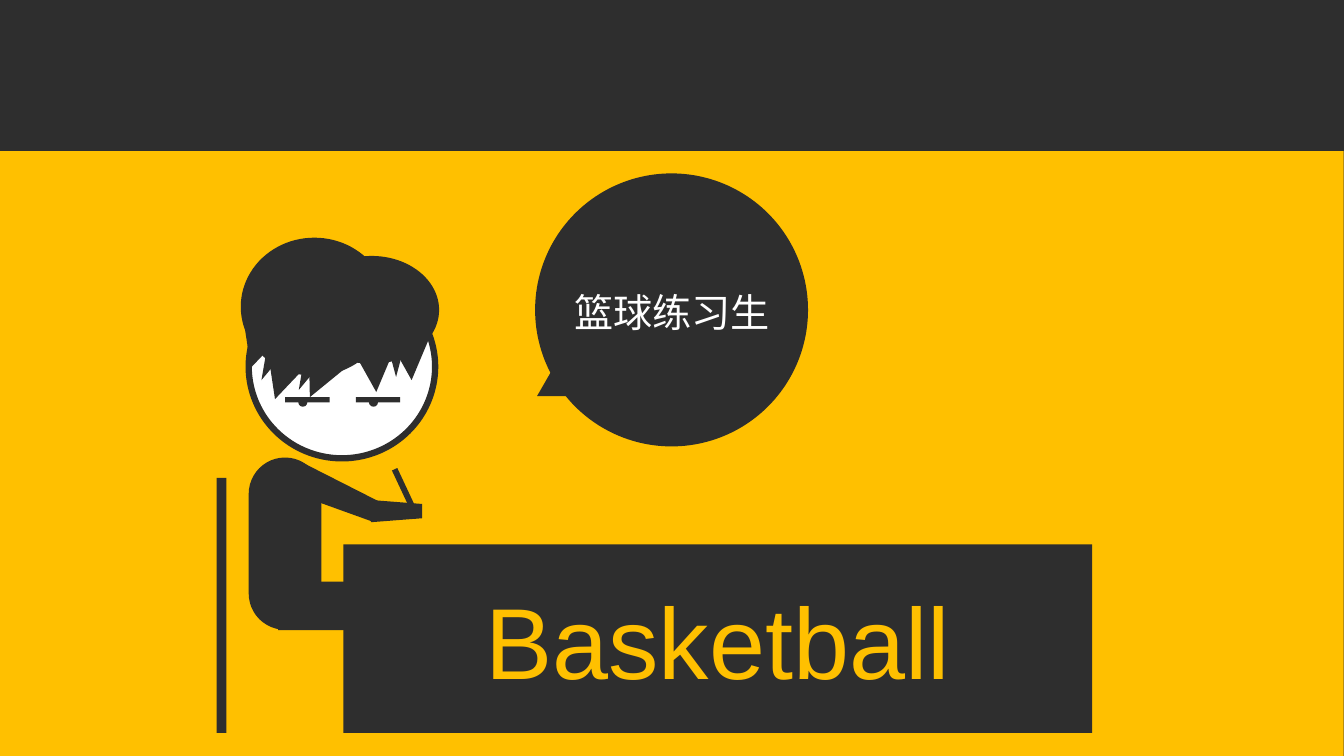
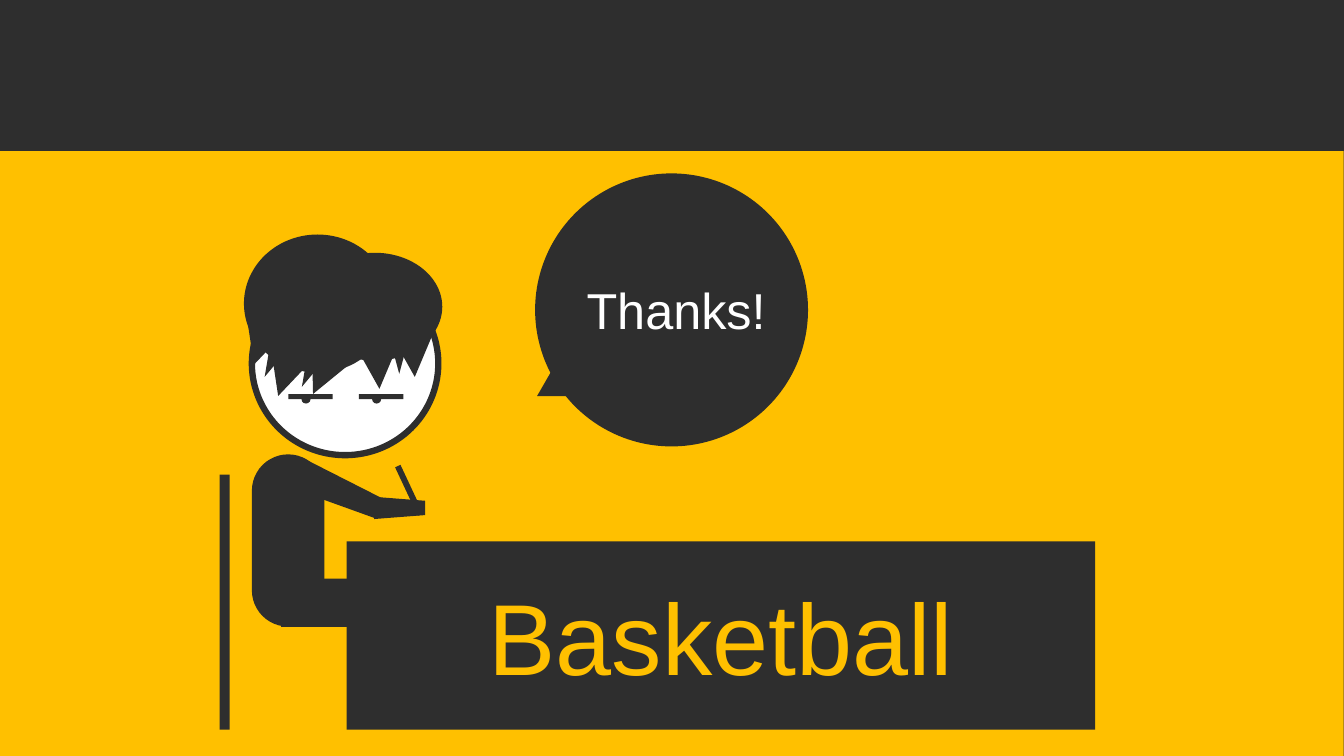
from pptx import Presentation
from pptx.dml.color import RGBColor
from pptx.enum.shapes import MSO_SHAPE as Kind
from pptx.enum.text import MSO_ANCHOR as Anchor, PP_ALIGN as Align
from pptx.util import Cm, Pt

DARK, GOLD, WHITE = "2E2E2E", "FFC000", "FFFFFF"
FONT = "Arial"

# Left half of a lock of hair, as shares of its box, from notch to tip
HALF = [(0.5, 0.1), (0.41, 0.03), (0.33, 0.01), (0.25, 0), (0.16, 0.02),
        (0.09, 0.07), (0.03, 0.13), (0, 0.2), (0, 0.28), (0.03, 0.36), (0.5, 1)]
LOCK = HALF + [(1 - x, y) for x, y in HALF[-2:0:-1]]
TALL, WIDE, SLIM = 2.21, 1.47, 0.81

# Left, top, width and turn of each lock
LOCKS = [
    (6.02, 6.88, WIDE, 17.5),
    (6.53, 7.9, WIDE, 17.5),
    (7.54, 7.9, WIDE, 24.8),
    (8.69, 7.67, WIDE, 356.8),
    (9.58, 7.37, WIDE, 356.8),
    (5.92, 7.11, WIDE, 17.5),
    (7.59, 7.72, SLIM, 24.8),
    (6.65, 7.47, SLIM, 24.8),
    (9.58, 7.29, SLIM, 0),
]
ARM = [(7.57, 11.63), (9.58, 12.65), (9.35, 13.13), (7.24, 12.37)]
HAND = [(9.35, 12.6), (10.64, 12.7), (10.64, 13.06), (9.35, 13.16)]
EYE_GAP = 1.78


def rgb(code):
    return RGBColor.from_string(code)


class Deck:
    """Holds the presentation, the current slide and the drawing offset in cm."""

    def __init__(self):
        self.prs = Presentation()
        self.prs.slide_width, self.prs.slide_height = Cm(33.88), Cm(19.05)
        self.dx = self.dy = 0

    def page(self):
        self.slide = self.prs.slides.add_slide(self.prs.slide_layouts[6])
        fill = self.slide.background.fill
        fill.solid()
        fill.fore_color.rgb = rgb(DARK)
        self.shape(Kind.RECTANGLE, 0, 3.81, 33.87, 15.24, GOLD)

    def paint(self, item, color, turn=0):
        item.shadow.inherit = False
        item.fill.solid()
        item.fill.fore_color.rgb = rgb(color)
        item.line.fill.background()
        item.rotation = turn
        return item

    def shape(self, kind, x, y, w, h, color=DARK, turn=0):
        item = self.slide.shapes.add_shape(
            kind, Cm(x + self.dx), Cm(y + self.dy), Cm(w), Cm(h))
        return self.paint(item, color, turn)

    def shard(self, points, turn=0):
        """Draw a closed outline through points given in cm."""
        spots = [(Cm(x + self.dx), Cm(y + self.dy)) for x, y in points]
        pen = self.slide.shapes.build_freeform(*spots[0], scale=1.0)
        pen.add_line_segments(spots[1:], close=True)
        return self.paint(pen.convert_to_shape(), DARK, turn)

    def label(self, item, text, size, color, anchor):
        frame = item.text_frame
        frame.word_wrap = True
        frame.vertical_anchor = anchor
        frame.text = text
        par = frame.paragraphs[0]
        par.alignment = Align.CENTER
        font = par.runs[0].font
        font.name, font.size = FONT, Pt(size)
        font.color.rgb = rgb(color)

    def head(self):
        face = self.shape(Kind.OVAL, 6.27, 6.93, 4.7, 4.62, WHITE)
        face.line.color.rgb = rgb(DARK)
        face.line.width = Pt(4.5)
        self.shape(Kind.OVAL, 6.07, 5.99, 3.71, 3.48)
        self.shape(Kind.OVAL, 7.67, 6.45, 3.4, 2.72)
        for x, y, wide, turn in LOCKS:
            self.shard([(x + u * wide, y + v * TALL) for u, v in LOCK], turn)
        for gap in (0, EYE_GAP):
            self.shape(Kind.RECTANGLE, 7.19 + gap, 10.01, 1.12, 0.13)
            self.shape(Kind.OVAL, 7.52 + gap, 10.02, 0.23, 0.23)

    def body(self):
        trunk = self.shape(Kind.ROUNDED_RECTANGLE, 6.27, 11.53, 1.83, 4.34)
        trunk.adjustments[0] = 0.5
        self.shard(ARM)
        self.shard(HAND)
        self.shape(Kind.RECTANGLE, 10.16, 11.76, 0.15, 1.35, turn=334.9)  # pencil
        self.shape(Kind.RECTANGLE, 7.01, 14.66, 3.66, 1.22)  # leg

    def desk(self, text):
        self.shape(Kind.RECTANGLE, 5.46, 12.04, 0.25, 6.43)  # chair back
        top = self.shape(Kind.RECTANGLE, 8.66, 13.72, 18.87, 4.75)
        self.label(top, text, 72, GOLD, Anchor.MIDDLE)

    def scene(self, text, shift=0):
        """Draw the figure at its desk, moved right and up by shift."""
        self.dx, self.dy = shift, -shift
        self.head()
        self.body()
        self.desk(text)
        self.dx = self.dy = 0

    def bubble(self, text, size, x, y, w, h):
        self.shape(Kind.OVAL, 13.49, 4.37, 6.88, 6.88)
        box = self.slide.shapes.add_textbox(Cm(x), Cm(y), Cm(w), Cm(h))
        self.label(box, text, size, WHITE, Anchor.TOP)
        self.shape(Kind.ISOSCELES_TRIANGLE, 13.54, 9.19, 0.91, 0.79)


def main():
    deck = Deck()
    deck.page()
    deck.scene("Basketball")
    deck.bubble("篮球练习生", 28, 14.17, 7.13, 5.54, 1.5)

    deck.page()
    deck.scene("Basketball", 0.08)
    deck.bubble("Thanks!", 36, 13.72, 6.91, 6.65, 1.78)
    deck.prs.save("out.pptx")


if __name__ == "__main__":
    main()
